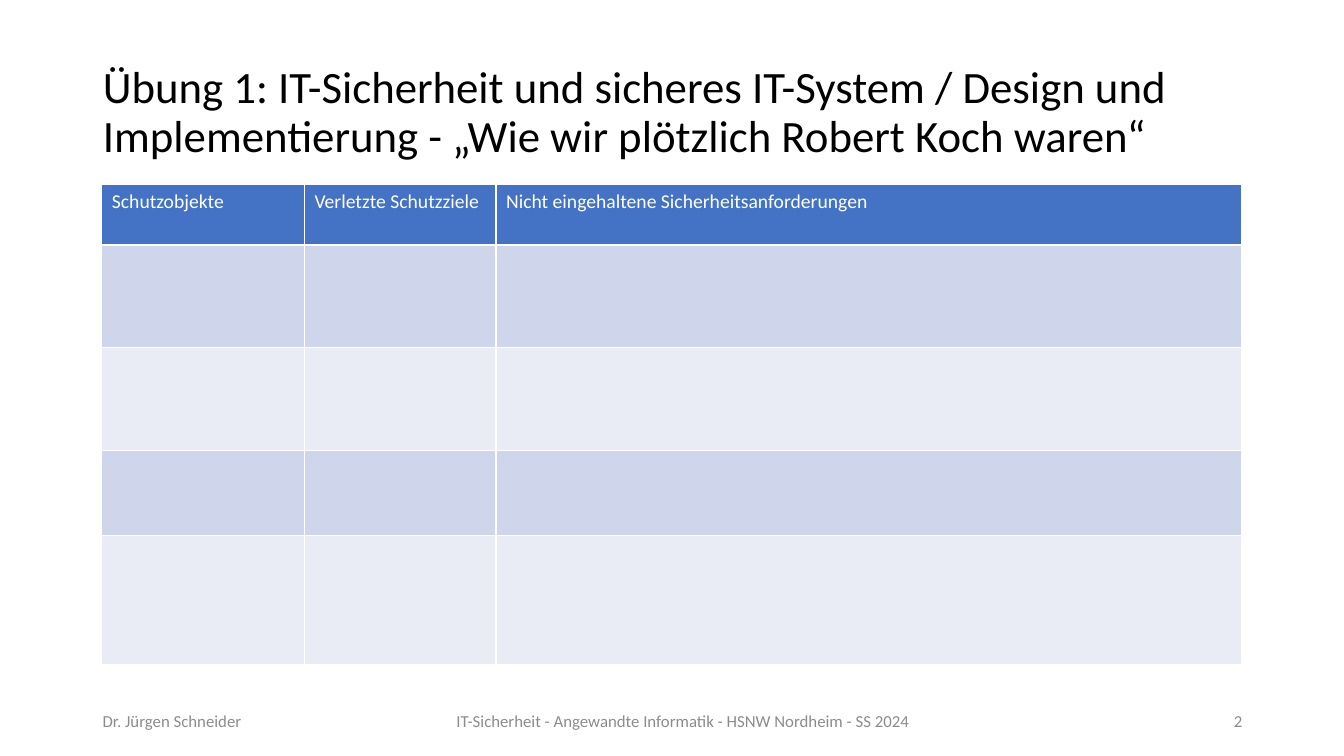
from pptx import Presentation
from pptx.dml.color import RGBColor
from pptx.enum.text import MSO_ANCHOR, PP_ALIGN
from pptx.util import Inches, Pt

FONT = "Calibri"
BLUE, WHITE, BLACK, GRAY = "4472C4", "FFFFFF", "000000", "8C8C8C"
BANDS = ["CFD5EA", "E9EBF5"]
COLS = [2.01, 1.9, 7.39]
ROWS = [0.6, 1.02, 1.02, 0.84, 1.28]
HEADERS = ["Schutzobjekte", "Verletzte Schutzziele",
           "Nicht eingehaltene Sicherheitsanforderungen"]


def rgb(color):
    return RGBColor.from_string(color)


def write(tf, text, size=12, color=GRAY, align=PP_ALIGN.LEFT, spacing=None):
    tf.word_wrap = True
    p = tf.paragraphs[0]
    p.alignment = align
    p.line_spacing = spacing
    r = p.add_run()
    r.text = text
    r.font.name = FONT
    r.font.size = Pt(size)
    r.font.bold = False
    r.font.color.rgb = rgb(color)


def add_title(s, x, y, w, h, text):
    sp = s.shapes.title
    sp.left, sp.top, sp.width, sp.height = map(Inches, (x, y, w, h))
    sp.text_frame.vertical_anchor = MSO_ANCHOR.MIDDLE
    write(sp.text_frame, text, size=32, color=BLACK, spacing=0.9)


def add_answer_table(s, x, y):
    frame = s.shapes.add_table(len(ROWS), len(COLS), Inches(x), Inches(y),
                               Inches(sum(COLS)), Inches(sum(ROWS)))
    table = frame.table
    for col, w in zip(table.columns, COLS):
        col.width = Inches(w)
    for i, (row, h) in enumerate(zip(table.rows, ROWS)):
        row.height = Inches(h)
        for cell in row.cells:
            cell.fill.solid()
            cell.fill.fore_color.rgb = rgb(BANDS[(i - 1) % 2] if i else BLUE)
    for cell, text in zip(table.rows[0].cells, HEADERS):
        write(cell.text_frame, text, size=14, color=WHITE)


def add_footer(s, x, y, w, h):
    side, mid = 3, 6.37
    parts = [
        (x, side, "Dr. Jürgen Schneider", PP_ALIGN.LEFT),
        (x + 2.67, mid, "IT-Sicherheit - Angewandte Informatik - HSNW Nordheim - SS 2024",
         PP_ALIGN.CENTER),
        (x + w - side, side, "2", PP_ALIGN.RIGHT),
    ]
    for left, width, text, align in parts:
        sp = s.shapes.add_textbox(Inches(left), Inches(y), Inches(width), Inches(h))
        sp.text_frame.vertical_anchor = MSO_ANCHOR.MIDDLE
        write(sp.text_frame, text, align=align)


def main():
    prs = Presentation()
    prs.slide_width, prs.slide_height = Inches(13.33), Inches(7.5)
    s = prs.slides.add_slide(prs.slide_layouts[5])
    add_title(s, 0.92, 0.4, 11.5, 1.45,
              "Übung 1: IT-Sicherheit und sicheres IT-System / Design und "
              "Implementierung - „Wie wir plötzlich Robert Koch waren“")
    add_answer_table(s, 1.01, 1.83)
    add_footer(s, 0.92, 6.95, 11.5, 0.4)
    prs.save("out.pptx")


if __name__ == "__main__":
    main()
